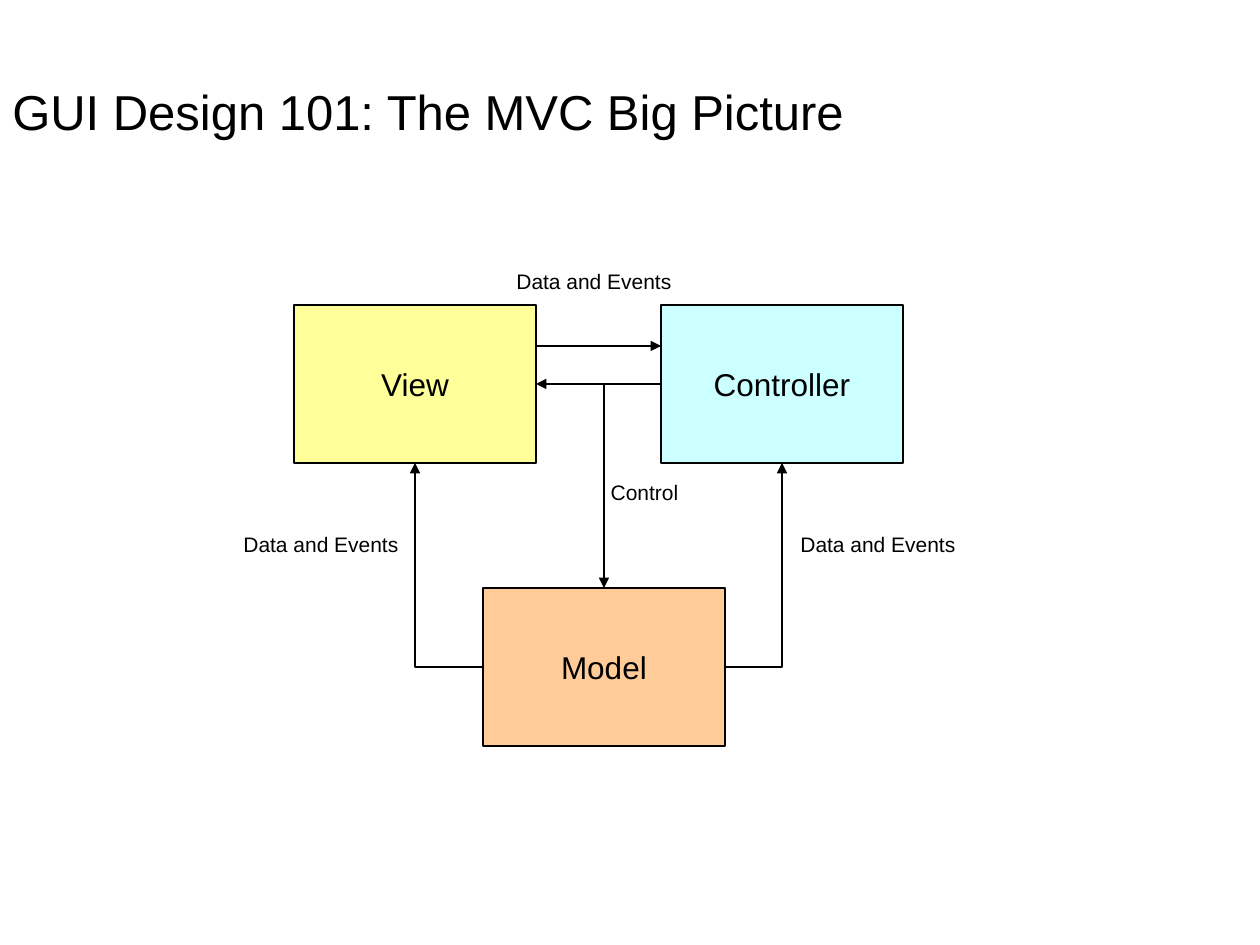
from dataclasses import dataclass

from lxml import etree
from pptx import Presentation
from pptx.dml.color import RGBColor
from pptx.enum.shapes import MSO_CONNECTOR, MSO_SHAPE
from pptx.enum.text import MSO_ANCHOR, PP_ALIGN
from pptx.oxml.ns import qn
from pptx.util import Emu, Pt

RECTANGLE = MSO_SHAPE.RECTANGLE
STRAIGHT, ELBOW = MSO_CONNECTOR.STRAIGHT, MSO_CONNECTOR.ELBOW
LEFT, CENTER = PP_ALIGN.LEFT, PP_ALIGN.CENTER
TOP_ANCHOR, MIDDLE = MSO_ANCHOR.TOP, MSO_ANCHOR.MIDDLE
# Connection sites of a rectangle
TOP, LEFT_SIDE, BOTTOM, RIGHT_SIDE = range(4)


@dataclass(frozen=True)
class Theme:
    font: str = "Arial"
    ink: str = "000000"
    title_size: int = 28
    box_size: int = 18
    label_size: int = 12
    line_width: float = 0.75


THEME = Theme()
EMU_PER_PX = 914400 / 126
SLIDE_SIZE = (1260, 945)

# Content: lengths in px
TITLE = ("GUI Design 101: The MVC Big Picture", (0, 32, 1134, 157))
BOX_SIZE = (242, 158)
BOXES = {  # name: (left, top, fill)
    "Model": (483, 588, "FFCC99"),
    "Controller": (661, 305, "CCFFFF"),
    "View": (294, 305, "FFFF99"),
}
EVENT_ARROW_Y = 346
LINKS = [  # kind, (from box, site), (to box, site)
    (STRAIGHT, ("Controller", LEFT_SIDE), ("View", RIGHT_SIDE)),
    (ELBOW, ("Model", LEFT_SIDE), ("View", BOTTOM)),
    (ELBOW, ("Model", RIGHT_SIDE), ("Controller", BOTTOM)),
    (ELBOW, ("Controller", LEFT_SIDE), ("Model", TOP)),
]
LABEL_HEIGHT = 38
LABELS = [  # text, left, top, width
    ("Data and Events", 231, 525, 180),
    ("Data and Events", 788, 525, 180),
    ("Control", 598, 473, 93),
    ("Data and Events", 504, 262, 180),
]


def px(length):
    return Emu(round(length * EMU_PER_PX))


def color(value):
    return RGBColor.from_string(value)


def write(shape, text, size, align, anchor, wrap=False):
    frame = shape.text_frame
    frame.word_wrap = wrap
    frame.vertical_anchor = anchor
    paragraph = frame.paragraphs[0]
    paragraph.alignment = align
    run = paragraph.add_run()
    run.text = text
    run.font.name = THEME.font
    run.font.size = Pt(size)
    run.font.color.rgb = color(THEME.ink)


def add_text(slide, text, area, size, align, anchor, wrap=False):
    shape = slide.shapes.add_textbox(*map(px, area))
    write(shape, text, size, align, anchor, wrap)


def add_box(slide, name, left, top, fill):
    shape = slide.shapes.add_shape(RECTANGLE, *map(px, (left, top, *BOX_SIZE)))
    shape.shadow.inherit = False
    shape.fill.solid()
    shape.fill.fore_color.rgb = color(fill)
    shape.line.color.rgb = color(THEME.ink)
    shape.line.width = Pt(THEME.line_width)
    write(shape, name, THEME.box_size, CENTER, MIDDLE)
    return shape


def site_point(name, site):
    left, top, _ = BOXES[name]
    width, height = BOX_SIZE
    offsets = {
        TOP: (width / 2, 0),
        LEFT_SIDE: (0, height / 2),
        BOTTOM: (width / 2, height),
        RIGHT_SIDE: (width, height / 2),
    }
    across, down = offsets[site]
    return left + across, top + down


def add_arrow(slide, kind, start, end):
    connector = slide.shapes.add_connector(kind, *map(px, (*start, *end)))
    connector.line.color.rgb = color(THEME.ink)
    connector.line.width = Pt(THEME.line_width)
    properties = connector._element.spPr
    if kind == ELBOW:  # a single corner: across, then up or down
        properties.find(qn("a:prstGeom")).set("prst", "bentConnector2")
    etree.SubElement(properties.find(qn("a:ln")), qn("a:tailEnd"), type="triangle")
    etree.SubElement(properties, qn("a:effectLst"))
    return connector


def main():
    presentation = Presentation()
    presentation.slide_width, presentation.slide_height = map(px, SLIDE_SIZE)
    slide = presentation.slides.add_slide(presentation.slide_layouts[6])

    # Title
    add_text(slide, *TITLE, THEME.title_size, LEFT, MIDDLE, wrap=True)

    # Boxes
    boxes = {name: add_box(slide, name, *box) for name, box in BOXES.items()}

    # Arrows: one free between the upper boxes, the rest joined to box sites
    view_right = site_point("View", RIGHT_SIDE)[0]
    controller_left = site_point("Controller", LEFT_SIDE)[0]
    add_arrow(slide, STRAIGHT, (view_right, EVENT_ARROW_Y),
              (controller_left, EVENT_ARROW_Y))
    for kind, start, end in LINKS:
        connector = add_arrow(slide, kind, site_point(*start), site_point(*end))
        connector.begin_connect(boxes[start[0]], start[1])
        connector.end_connect(boxes[end[0]], end[1])

    # Labels
    for text, left, top, width in LABELS:
        add_text(slide, text, (left, top, width, LABEL_HEIGHT),
                 THEME.label_size, CENTER, TOP_ANCHOR)

    presentation.save("out.pptx")


if __name__ == "__main__":
    main()
